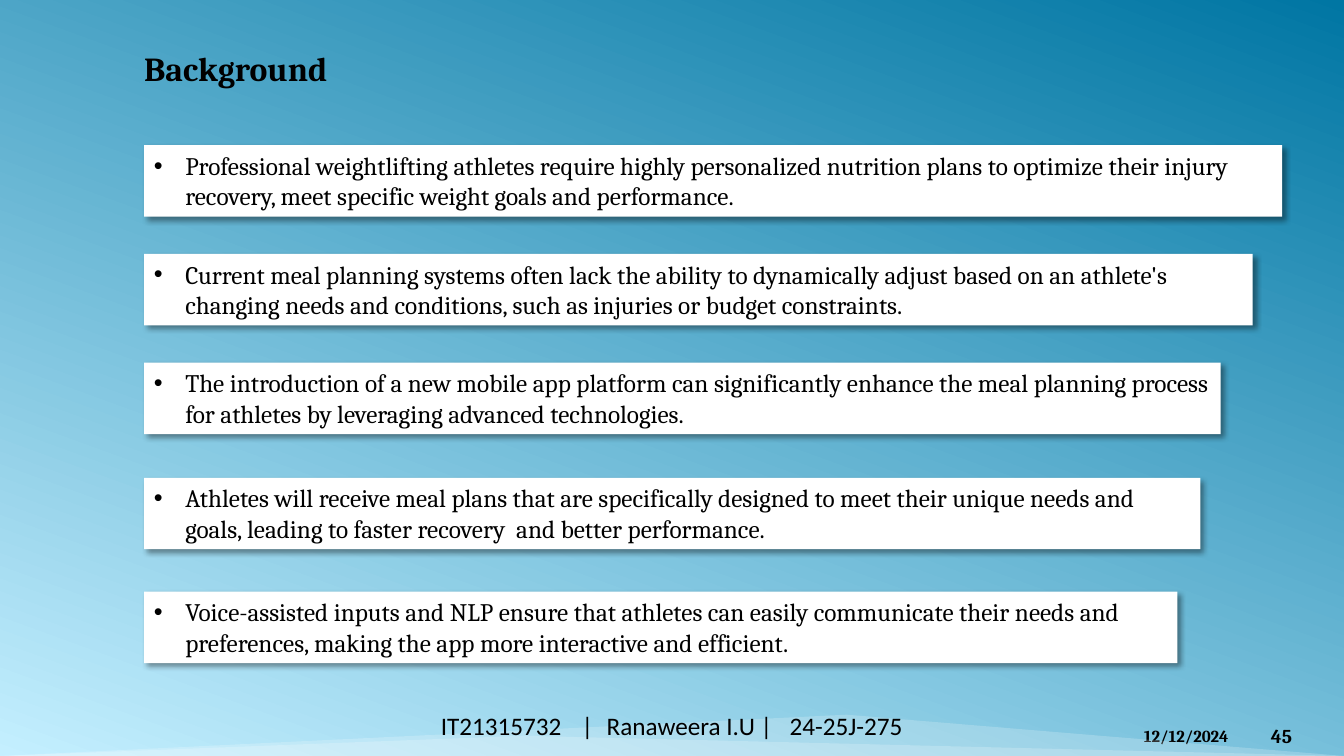
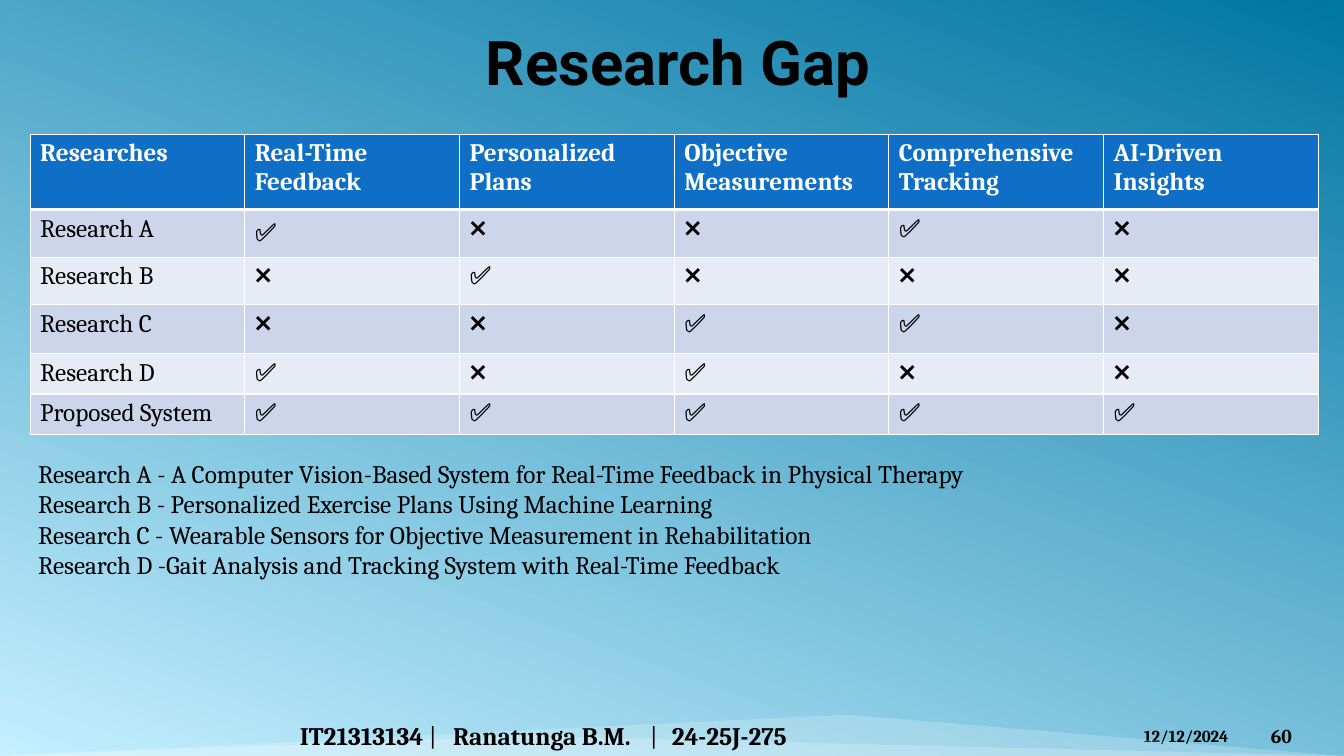
from lxml.etree import SubElement
from pptx import Presentation
from pptx.dml.color import RGBColor
from pptx.enum.shapes import MSO_SHAPE as Preset
from pptx.enum.text import MSO_ANCHOR as Anchor, MSO_AUTO_SIZE as AutoSize, PP_ALIGN as Align
from pptx.oxml.ns import qn
from pptx.util import Cm, Pt

BLACK = RGBColor(0x00, 0x00, 0x00)
WHITE = RGBColor(0xFF, 0xFF, 0xFF)
SKY_DARK = RGBColor(0x00, 0x76, 0xA3)
SKY_LIGHT = RGBColor(0xC4, 0xEF, 0xFF)
HEADER_BLUE = RGBColor(0x0F, 0x6F, 0xC6)
ROW_TINTS = [RGBColor(0xCC, 0xD5, 0xEA), RGBColor(0xE7, 0xEB, 0xF5)]

SLIDE_WIDTH, SLIDE_HEIGHT = Cm(33.87), Cm(19.05)
DATE = "12/12/2024"

BACKGROUND_POINTS = [
    (3.66, 28.68, "Professional weightlifting athletes require highly personalized nutrition plans to optimize their injury recovery, meet specific weight goals and performance."),
    (6.4, 27.94, "Current meal planning systems often lack the ability to dynamically adjust based on an athlete's changing needs and conditions, such as injuries or budget constraints."),
    (9.14, 27.13, "The introduction of a new mobile app platform can significantly enhance the meal planning process for athletes by leveraging advanced technologies."),
    (12.04, 26.62, "Athletes will receive meal plans that are specifically designed to meet their unique needs and goals, leading to faster recovery  and better performance."),
    (14.91, 26.04, "Voice-assisted inputs and NLP ensure that athletes can easily communicate their needs and preferences, making the app more interactive and efficient."),
]

GAP_TABLE = [
    ["Researches", "Real-Time Feedback", "Personalized Plans", "Objective Measurements",
     "Comprehensive Tracking", "AI-Driven Insights"],
    ["Research A", "✅", "❌", "❌", "✅", "❌"],
    ["Research B", "❌", "✅", "❌", "❌", "❌"],
    ["Research C", "❌", "❌", "✅", "✅", "❌"],
    ["Research D", "✅", "❌", "✅", "❌", "❌"],
    ["Proposed System", "✅", "✅", "✅", "✅", "✅"],
]
GAP_ROW_HEIGHTS = [1.9, 1.2, 1.2, 1.23, 1.02, 1.02]

RESEARCH_NOTES = [
    "Research A - A Computer Vision-Based System for Real-Time Feedback in Physical Therapy",
    "Research B - Personalized Exercise Plans Using Machine Learning",
    "Research C - Wearable Sensors for Objective Measurement in Rehabilitation",
    "Research D -Gait Analysis and Tracking System with Real-Time Feedback",
]


def write(paragraph, text, size=18, font="Cambria", color=BLACK, bold=False, align=Align.LEFT):
    paragraph.alignment = align
    run = paragraph.add_run()
    run.text = text
    run.font.size = Pt(size)
    run.font.name = font
    run.font.bold = bold
    run.font.color.rgb = color


def add_text_box(slide, left, top, width, height, anchor=Anchor.TOP):
    text_frame = slide.shapes.add_textbox(Cm(left), Cm(top), Cm(width), Cm(height)).text_frame
    text_frame.word_wrap = True
    text_frame.vertical_anchor = anchor
    return text_frame


def add_plain_shape(slide, preset, left, top, width, height):
    shape = slide.shapes.add_shape(preset, left, top, width, height)
    shape.shadow.inherit = False
    shape.fill.solid()
    shape.fill.fore_color.rgb = WHITE
    shape.line.fill.background()
    return shape


def add_wave(slide, height, peak):
    wave = add_plain_shape(slide, Preset.ISOSCELES_TRIANGLE, 0, SLIDE_HEIGHT - Cm(height),
                           SLIDE_WIDTH, Cm(height))
    wave.adjustments[0] = peak
    color = wave.fill._xPr.find(f"{qn('a:solidFill')}/{qn('a:srgbClr')}")
    SubElement(color, qn("a:alpha"), val="20000")


def set_title(slide, text, left, top, width, height, **text_format):
    title = slide.shapes.title
    title.left, title.top, title.width, title.height = Cm(left), Cm(top), Cm(width), Cm(height)
    text_frame = title.text_frame
    text_frame.auto_size = AutoSize.NONE
    text_frame.vertical_anchor = Anchor.MIDDLE
    write(text_frame.paragraphs[0], text, bold=True, **text_format)


def add_slide(presentation, number):
    slide = presentation.slides.add_slide(presentation.slide_layouts[5])
    date_frame = add_text_box(slide, 28.58, 18.16, 2.97, 0.76)
    write(date_frame.paragraphs[0], DATE, size=12, bold=True)
    add_wave(slide, 1.04, 0.63)
    add_wave(slide, 0.51, 0.39)
    number_frame = add_text_box(slide, 31.78, 18.03, 1.88, 1.02, Anchor.MIDDLE)
    write(number_frame.paragraphs[0], number, size=14, bold=True)
    return slide


def add_author_line(slide, left, top, width, tabs, pieces, font):
    paragraph = add_text_box(slide, left, top, width, 1.02, Anchor.MIDDLE).paragraphs[0]
    tab_list = SubElement(paragraph._p.get_or_add_pPr(), qn("a:tabLst"))
    for position in tabs:
        SubElement(tab_list, qn("a:tab"), pos=str(Cm(position)), algn="l")
    for text, bold in pieces:
        write(paragraph, text, font=font, bold=bold)


def add_bullet_bar(slide, top, width, text):
    bar = add_plain_shape(slide, Preset.RECTANGLE, Cm(3.63), Cm(top), Cm(width), Cm(1.8))
    effects = bar._element.spPr.find(qn("a:effectLst"))
    shadow = SubElement(effects, qn("a:outerShdw"), blurRad=str(Pt(4)), dist=str(Pt(3)),
                        dir="2700000", algn="tl", rotWithShape="0")
    color = SubElement(shadow, qn("a:srgbClr"), val=str(BLACK))
    SubElement(color, qn("a:alpha"), val="40000")
    bar.text_frame.word_wrap = True
    bar.text_frame.vertical_anchor = Anchor.TOP
    paragraph = bar.text_frame.paragraphs[0]
    properties = paragraph._p.get_or_add_pPr()
    properties.set("marL", str(Cm(0.79)))
    properties.set("indent", str(-Cm(0.79)))
    SubElement(properties, qn("a:buFont"), typeface="Arial")
    SubElement(properties, qn("a:buChar"), char="•")
    write(paragraph, text)


def set_borders(cell, **widths):
    properties = cell._tc.get_or_add_tcPr()
    for side in "LRTB":
        line = SubElement(properties, qn(f"a:ln{side}"), w=str(Pt(widths.get(side, 1))))
        fill = SubElement(line, qn("a:solidFill"))
        SubElement(fill, qn("a:srgbClr"), val=str(WHITE))


def add_gap_table(slide):
    table = slide.shapes.add_table(len(GAP_TABLE), len(GAP_TABLE[0]), Cm(0.76), Cm(3.38),
                                   Cm(32.46), Cm(sum(GAP_ROW_HEIGHTS))).table
    for row, height in zip(table.rows, GAP_ROW_HEIGHTS):
        row.height = Cm(height)
    for row_index, texts in enumerate(GAP_TABLE):
        header = row_index == 0
        for column_index, text in enumerate(texts):
            cell = table.cell(row_index, column_index)
            set_borders(cell, T=3 if row_index == 1 else 1, B=3 if header else 1)
            cell.fill.solid()
            cell.fill.fore_color.rgb = HEADER_BLUE if header else ROW_TINTS[(row_index - 1) % 2]
            write(cell.text_frame.paragraphs[0], text, bold=header,
                  color=WHITE if header else BLACK)
    table.cell(1, 1).vertical_anchor = Anchor.MIDDLE


def add_research_notes(slide):
    text_frame = add_text_box(slide, 0.71, 11.43, 32.46, 4.88)
    for index, text in enumerate(RESEARCH_NOTES):
        write(text_frame.add_paragraph() if index else text_frame.paragraphs[0], text)


def set_sky_background(presentation):
    fill = presentation.slide_master.background.fill
    fill.gradient()
    fill.gradient_angle = 250
    for stop, color in zip(fill.gradient_stops, (SKY_DARK, SKY_LIGHT)):
        stop.color.rgb = color


def main():
    presentation = Presentation()
    presentation.slide_width, presentation.slide_height = SLIDE_WIDTH, SLIDE_HEIGHT
    set_sky_background(presentation)

    background = add_slide(presentation, "45")
    set_title(background, "Background", 3.38, 1.07, 12, 1.27, size=24)
    for top, width, text in BACKGROUND_POINTS:
        add_bullet_bar(background, top, width, text)
    add_author_line(background, 10.86, 17.78, 13, (3.55, 4.18, 8.79),
                    [("IT21315732\t|\tRanaweera I.U |\t24-25J-275", False)], "Calibri")

    gap = add_slide(presentation, "60")
    set_title(gap, "Research Gap", 0.86, 0.43, 32.46, 2.21, size=44, font="Roboto",
              align=Align.CENTER)
    add_gap_table(gap)
    add_author_line(gap, 7.31, 18.03, 18.92, (3.86, 8.82, 9.37),
                    [("IT21313134", True), (" |\t", False), ("Ranatunga B.M.\t", True),
                     ("|\t", False), ("24-25J-275", True)], "Cambria")
    add_research_notes(gap)

    presentation.save("out.pptx")


if __name__ == "__main__":
    main()
